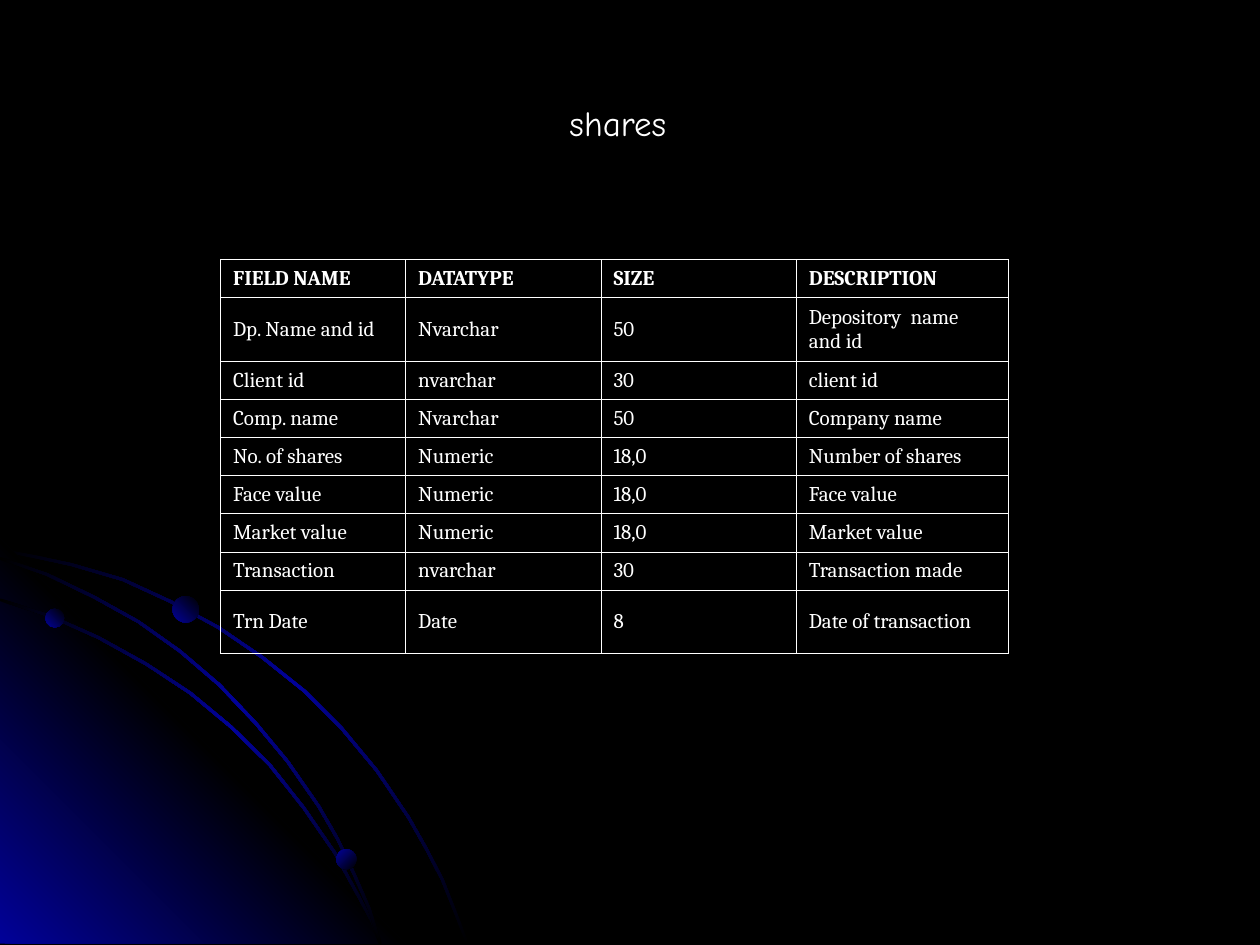
from dataclasses import dataclass
from math import hypot

from lxml.etree import SubElement
from pptx import Presentation
from pptx.dml.color import RGBColor
from pptx.enum.shapes import MSO_SHAPE
from pptx.enum.text import MSO_ANCHOR, PP_ALIGN
from pptx.oxml.ns import qn
from pptx.util import Pt


@dataclass(frozen=True)
class Theme:
    black: str = "000000"
    blue: str = "010199"
    white: str = "FFFFFF"
    title_font: str = "Comic Neue"
    table_font: str = "Cambria"
    title_size: float = 20
    table_size: float = 12
    border: float = 0.45


class SlideBuilder:
    def __init__(self, prs, theme):
        self.theme = theme
        self.s = prs.slides.add_slide(prs.slide_layouts[5])
        fill = self.s.background.fill
        fill.solid()
        fill.fore_color.rgb = RGBColor.from_string(theme.black)
        self.swirl = self.s.shapes.add_group_shape().shapes

    def gradient(self, sp, colors, angle):
        sp.shadow.inherit = False
        sp.line.fill.background()
        sp.fill.gradient()
        sp.fill.gradient_angle = 360 - angle
        stops = sp._element.spPr.find(qn("a:gradFill")).find(qn("a:gsLst"))
        for stop in list(stops):
            stops.remove(stop)
        for i, color in enumerate(colors):
            pos = 100000 * i // (len(colors) - 1)
            gs = SubElement(stops, qn("a:gs"), pos=str(pos))
            SubElement(gs, qn("a:srgbClr"), val=color)

    def polygon(self, points, colors, angle):
        emu = [(Pt(x), Pt(y)) for x, y in points]
        builder = self.swirl.build_freeform(*emu[0], scale=1.0)
        builder.add_line_segments(emu[1:], close=True)
        self.gradient(builder.convert_to_shape(), colors, angle)

    def arc(self, points, half_width=0.8):
        upper, lower = [], []
        for i, (x, y) in enumerate(points):
            x0, y0 = points[max(i - 1, 0)]
            x1, y1 = points[min(i + 1, len(points) - 1)]
            length = hypot(x1 - x0, y1 - y0)
            dx = (y1 - y0) / length * half_width
            dy = (x1 - x0) / length * half_width
            upper.append((max(x + dx, 0), y - dy))
            lower.append((max(x - dx, 0), y + dy))
        t = self.theme
        self.polygon(upper + lower[::-1], (t.black, t.blue, t.black), 225)

    def dot(self, left, top, size, angle):
        sp = self.swirl.add_shape(MSO_SHAPE.OVAL, Pt(left), Pt(top), Pt(size), Pt(size))
        self.gradient(sp, (self.theme.black, self.theme.blue), angle)

    def run(self, p, text, font, size, bold=False):
        r = p.add_run()
        r.text = text
        r.font.name = font
        r.font.size = Pt(size)
        r.font.bold = bold
        r.font.color.rgb = RGBColor.from_string(self.theme.white)

    def title(self, text, left, top, width, height):
        sp = self.s.shapes.title
        sp.left, sp.top, sp.width, sp.height = Pt(left), Pt(top), Pt(width), Pt(height)
        tf = sp.text_frame
        tf.word_wrap = True
        tf.vertical_anchor = MSO_ANCHOR.MIDDLE
        p = tf.paragraphs[0]
        p.alignment = PP_ALIGN.LEFT
        self.run(p, text, self.theme.title_font, self.theme.title_size)

    def borders(self, cell):
        tc_pr = cell._tc.get_or_add_tcPr()
        for i, side in enumerate(("a:lnL", "a:lnR", "a:lnT", "a:lnB")):
            ln = SubElement(tc_pr, qn(side), w=str(Pt(self.theme.border)))
            fill = SubElement(ln, qn("a:solidFill"))
            SubElement(fill, qn("a:srgbClr"), val=self.theme.white)
            tc_pr.insert(i, ln)

    def table(self, rows, left, top, widths, heights):
        frame = self.s.shapes.add_table(
            len(rows), len(widths), Pt(left), Pt(top), Pt(sum(widths)), Pt(sum(heights)))
        table = frame.table
        table.first_row = table.horz_banding = False
        for col, width in zip(table.columns, widths):
            col.width = Pt(width)
        for i, (row, height) in enumerate(zip(rows, heights)):
            table.rows[i].height = Pt(height)
            for j, text in enumerate(row):
                cell = table.cell(i, j)
                cell.fill.background()
                cell.vertical_anchor = MSO_ANCHOR.MIDDLE
                self.borders(cell)
                self.run(cell.text_frame.paragraphs[0], text,
                         self.theme.table_font, self.theme.table_size, bold=i == 0)


OUTER_ARC = [
    (0, 314.3), (20.2, 318.2), (40.7, 322.6), (70.2, 331.2), (97.6, 343.8),
    (124.9, 358.6), (150.1, 375.8), (173.9, 394.9), (195.5, 416.5), (215.3, 440.3),
    (233.3, 466.9), (243.4, 484.6), (252.7, 502.6), (259.9, 520.6), (267.1, 539.3),
]
INNER_ARC = [
    (0, 342.7), (28.8, 352.1), (56.2, 364.3), (83.5, 379.4), (108.7, 396),
    (132.1, 415.4), (154.1, 437), (173.5, 461.5), (191.2, 487.1), (205.6, 513.4),
    (212.4, 526.3), (217.4, 539.3),
]
MIDDLE_ARC = [
    (0, 319), (27, 328.3), (54, 341.3), (79.2, 355.3), (103, 372.2),
    (125.3, 391.3), (146.2, 413.3), (164.2, 434.9), (182.2, 460.8), (193, 479.5),
    (202.3, 499.3), (211, 519.1), (217.4, 539.3),
]
CORNER = [(0, 307.5), (231.8, 539.3), (0, 539.3)]
DOTS = [(25.9, 347.8, 10.8, 135), (192.2, 485.3, 11.5, 225), (98.6, 340.6, 15.1, 135)]

FIELDS = [
    ("FIELD NAME", "DATATYPE", "SIZE", "DESCRIPTION"),
    ("Dp. Name and id", "Nvarchar", "50", "Depository  name and id"),
    ("Client id", "nvarchar", "30", "client id"),
    ("Comp. name", "Nvarchar", "50", "Company name"),
    ("No. of shares", "Numeric", "18,0", "Number of shares"),
    ("Face value", "Numeric", "18,0", "Face value"),
    ("Market value", "Numeric", "18,0", "Market value"),
    ("Transaction", "nvarchar", "30", "Transaction made"),
    ("Trn Date", "Date", "8", "Date of transaction"),
]
ROW, TALL_ROW = 21.8, 36.3


def main():
    prs = Presentation()
    prs.slide_width, prs.slide_height = Pt(720), Pt(540)
    theme = Theme()
    slide = SlideBuilder(prs, theme)
    slide.arc(OUTER_ARC)
    slide.polygon(CORNER, (theme.blue, theme.black, theme.blue), 135)
    slide.arc(INNER_ARC)
    slide.arc(MIDDLE_ARC)
    for dot in DOTS:
        slide.dot(*dot)
    slide.title("shares", 318.2, 54, 76.3, 31.7)
    slide.table(FIELDS, 126, 148.3, [105.8, 111.6, 111.6, 121],
                [ROW, TALL_ROW] + [ROW] * 6 + [TALL_ROW])
    prs.save("out.pptx")


if __name__ == "__main__":
    main()
